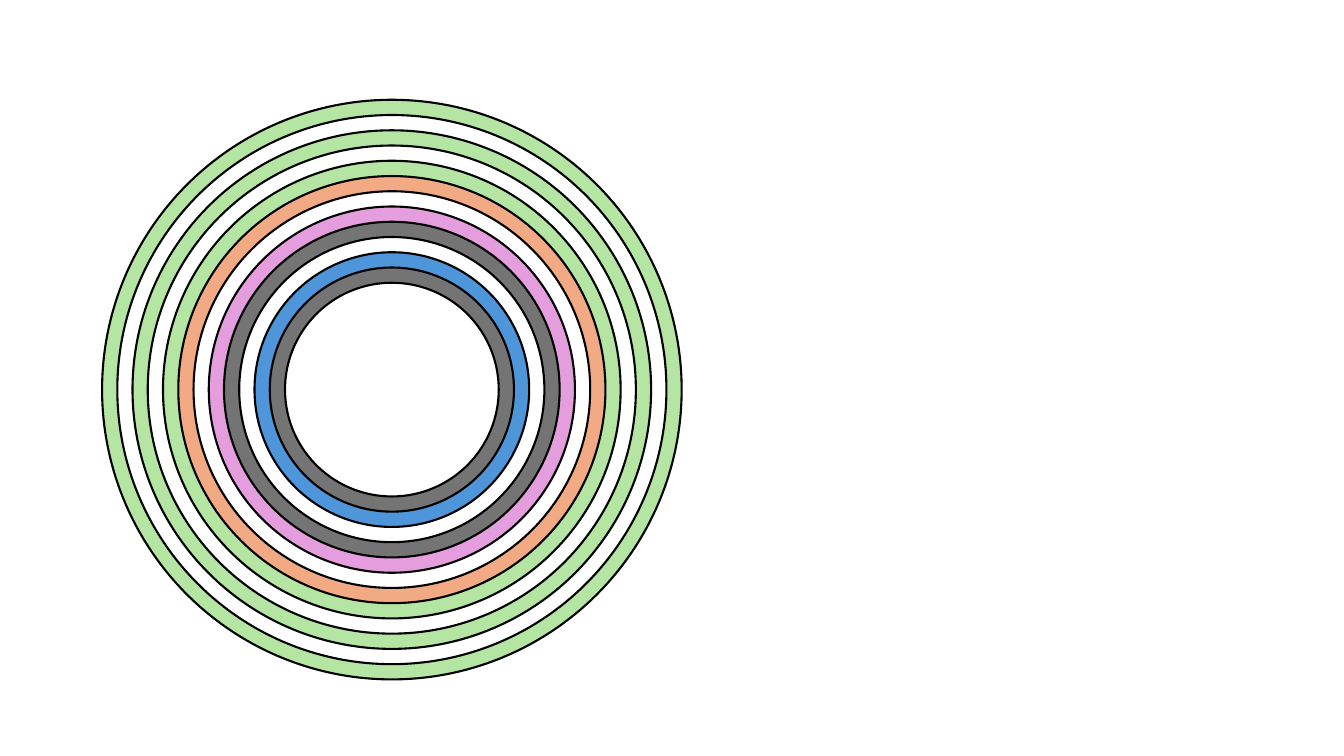
from pptx import Presentation
from pptx import util as u
from pptx.dml.color import RGBColor
from pptx.enum import shapes

BLACK = RGBColor(0x00, 0x00, 0x00)
WHITE = RGBColor(0xFF, 0xFF, 0xFF)
GREEN = RGBColor(0xB4, 0xE5, 0xA2)
ORANGE = RGBColor(0xF2, 0xAA, 0x84)
PINK = RGBColor(0xE5, 0x9E, 0xDD)
GRAY = RGBColor(0x74, 0x74, 0x74)
BLUE = RGBColor(0x4E, 0x95, 0xD9)

# Ring colours from the outside in
RING_COLORS = [GREEN, WHITE, GREEN, WHITE, GREEN, ORANGE, WHITE,
               PINK, GRAY, WHITE, BLUE, GRAY, WHITE]
CENTER_X, CENTER_Y = 279.9, 278.3
OUTER_DIAMETER = 414
DIAMETER_STEP = 21.78

# Blank slide
presentation = Presentation()
presentation.slide_width = u.Pt(960)
presentation.slide_height = u.Pt(540)
slide = presentation.slides.add_slide(presentation.slide_layouts[6])

# Concentric rings: each disc covers the middle of the one before
rings = []
for index, color in enumerate(RING_COLORS):
    diameter = OUTER_DIAMETER - index * DIAMETER_STEP
    ring = slide.shapes.add_shape(
        shapes.MSO_SHAPE.OVAL,
        u.Pt(CENTER_X - diameter / 2), u.Pt(CENTER_Y - diameter / 2),
        u.Pt(diameter), u.Pt(diameter))
    ring.shadow.inherit = False
    ring.fill.solid()
    ring.fill.fore_color.rgb = color
    ring.line.color.rgb = BLACK
    ring.line.width = u.Pt(1.5)
    rings.append(ring)

# Keep the rings together as one group
slide.shapes.add_group_shape(rings)

presentation.save("out.pptx")
